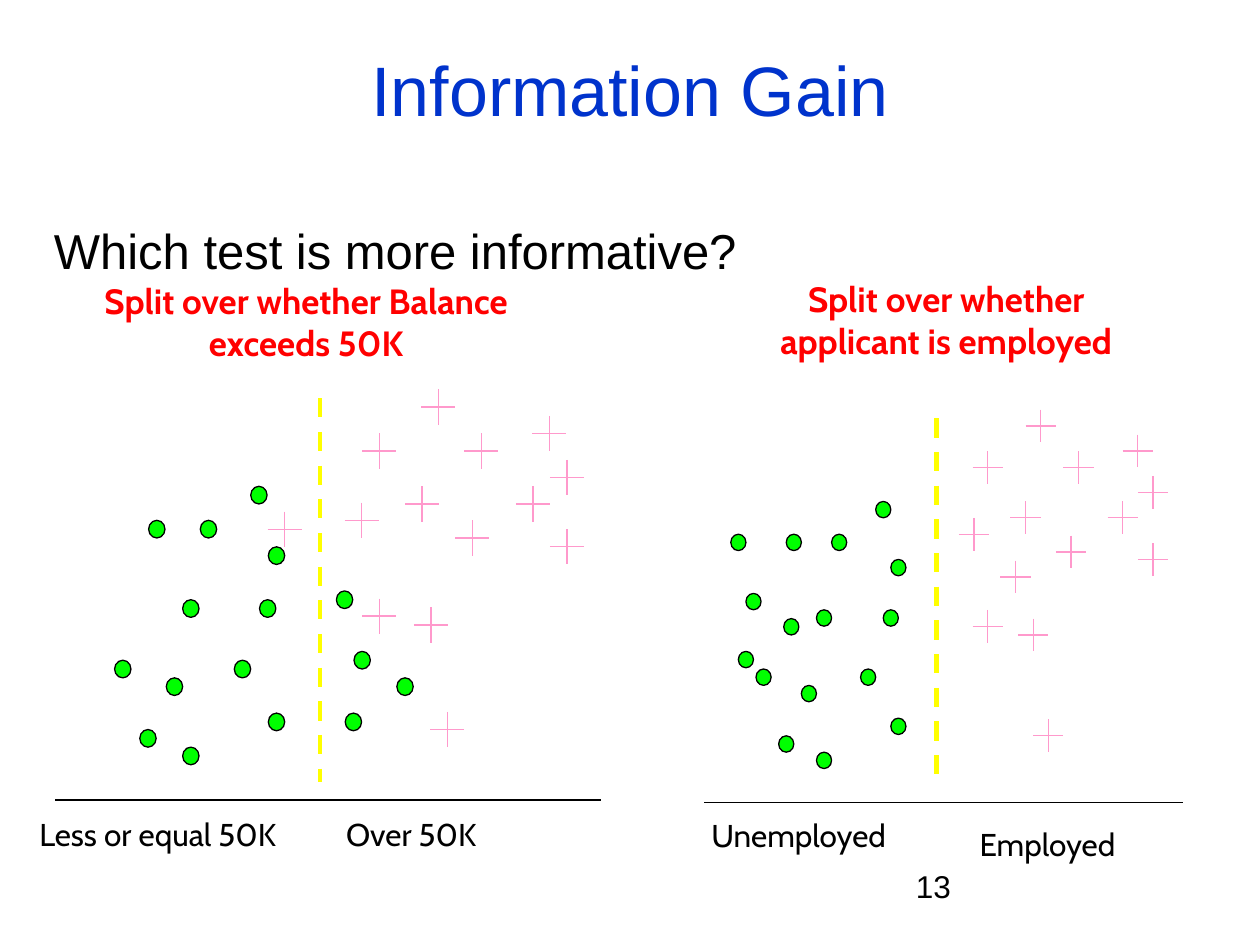
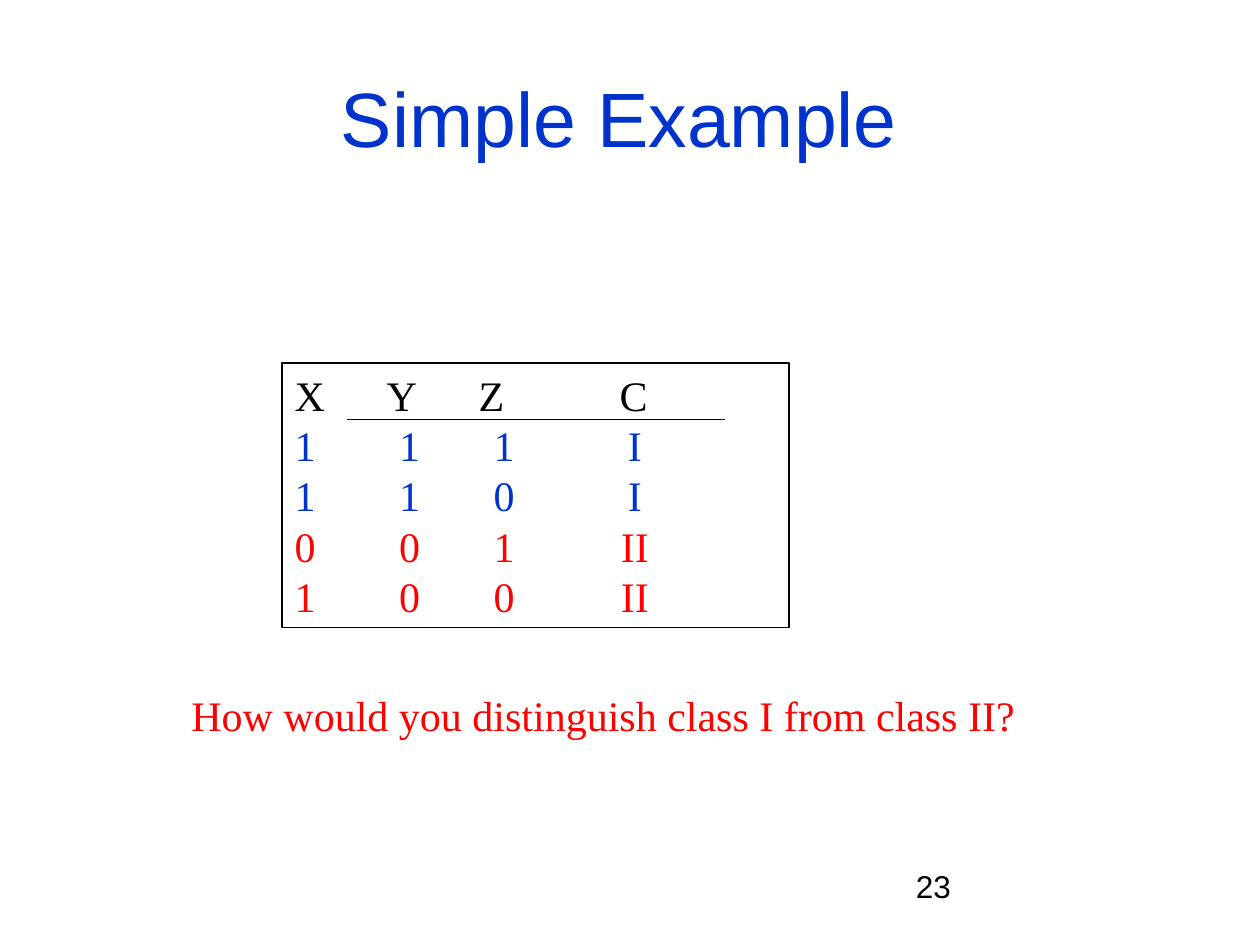
from lxml.etree import SubElement
from pptx import Presentation
from pptx.dml.color import RGBColor
from pptx.enum.dml import MSO_LINE
from pptx.enum.shapes import MSO_CONNECTOR, MSO_SHAPE
from pptx.enum.text import MSO_ANCHOR, PP_ALIGN
from pptx.oxml.ns import qn
from pptx.util import Inches, Pt

BLUE = RGBColor(0x00, 0x33, 0xCC)
RED = RGBColor(0xFF, 0x00, 0x00)
BLACK = RGBColor(0x00, 0x00, 0x00)
GREEN = RGBColor(0x00, 0xFF, 0x00)
PINK = RGBColor(0xFF, 0x99, 0xCC)
YELLOW = RGBColor(0xFF, 0xFF, 0x00)

SANS, SERIF, LABEL = "Arial", "Times New Roman", "Cabin"

# Each scatter panel: boxes are (left, top, width, height), lines (x1, y1, x2, y2),
# crosses are centres and dots are top left corners.
PANELS = [
    {
        "heading": ("Split over whether Balance exceeds 50K", (0.67, 2.17, 3.52, 0.77)),
        "labels": [("Less or equal 50K", (0.04, 6.42, 2.25, 0.4)),
                   ("Over 50K", (2.61, 6.42, 1.27, 0.4))],
        "axis": (0.44, 6.35, 4.77, 6.35),
        "split": (2.54, 3.16, 2.54, 6.21),
        "cross_size": (0.27, 0.28),
        "crosses": [(4.36, 3.44), (4.23, 4), (3.35, 4), (3.82, 3.58), (4.5, 3.79),
                    (4.5, 4.34), (3.01, 3.58), (3.75, 4.27), (3.48, 3.23), (2.26, 4.2),
                    (3.01, 4.89), (2.87, 4.13), (3.42, 4.96), (3.55, 5.79)],
        "dot_size": (0.13, 0.14),
        "dots": [(1.86, 5.24), (2.13, 4.34), (2.13, 5.66), (2.06, 4.76), (1.59, 4.13),
                 (1.32, 5.38), (1.45, 5.93), (1.11, 5.79), (1.45, 4.76), (0.91, 5.24),
                 (2.67, 4.69), (2.81, 5.17), (1.18, 4.13), (1.99, 3.86), (3.15, 5.38),
                 (2.74, 5.66)],
    },
    {
        "heading": ("Split over whether applicant is employed", (5.75, 2.15, 3.52, 0.77)),
        "labels": [("Unemployed", (5.43, 6.43, 1.7, 0.4)),
                   ("Employed", (7.59, 6.5, 1.36, 0.4))],
        "axis": (5.59, 6.37, 9.39, 6.37),
        "split": (7.43, 3.32, 7.43, 6.23),
        "cross_size": (0.24, 0.26),
        "crosses": [(9.03, 3.58), (8.91, 4.11), (8.14, 4.11), (8.56, 3.71), (9.15, 3.91),
                    (9.15, 4.44), (7.84, 3.71), (8.5, 4.38), (8.26, 3.38), (8.06, 4.58),
                    (7.84, 4.97), (7.73, 4.24), (8.2, 5.04), (8.32, 5.84)],
        "dot_size": (0.12, 0.13),
        "dots": [(6.83, 5.31), (7.07, 4.44), (7.07, 5.7), (7.01, 4.84), (6.6, 4.24),
                 (6.36, 5.44), (6.48, 5.97), (6.18, 5.84), (6.48, 4.84), (6, 5.31),
                 (5.8, 4.24), (5.92, 4.71), (6.24, 4.24), (6.95, 3.98), (6.22, 4.91),
                 (5.86, 5.17)],
    },
]

SAMPLES = [
    ("X", "Y", "Z", "C"),
    ("1", "1", "1", "I"),
    ("1", "1", "0", "I"),
    ("0", "0", "1", "II"),
    ("1", "0", "0", "II"),
]
SAMPLE_COLORS = [BLACK, BLUE, BLUE, RED, RED]
HEADER_TABS = [(0.73, "l"), (1.46, "l"), (2.69, "ctr")]
VALUE_TABS = [(0.83, "l"), (1.58, "l"), (2.7, "ctr")]


def add_text(page, text, place, size, font, color, align=PP_ALIGN.LEFT, bold=False,
             anchor=MSO_ANCHOR.TOP, spacing=None):
    box = page.shapes.add_textbox(*map(Inches, place))
    frame = box.text_frame
    frame.word_wrap = True
    frame.vertical_anchor = anchor
    frame.text = text
    for para in frame.paragraphs:
        para.alignment = align
        para.line_spacing = spacing
        for span in para.runs:
            span.font.size = Pt(size)
            span.font.name = font
            span.font.bold = bold
            span.font.color.rgb = color
    return box


def add_line(page, ends, color, width=0.75):
    line = page.shapes.add_connector(MSO_CONNECTOR.STRAIGHT, *map(Inches, ends))
    line.line.color.rgb = color
    line.line.width = Pt(width)
    SubElement(line._element.spPr, qn("a:effectLst"))
    return line


def add_page(deck, title, title_place, title_size, number):
    """Add a blank slide with its title and page number."""
    page = deck.slides.add_slide(deck.slide_layouts[6])
    add_text(page, title, title_place, title_size, SANS, BLUE, PP_ALIGN.CENTER,
             anchor=MSO_ANCHOR.MIDDLE)
    add_text(page, number, (7.17, 6.83, 2.33, 0.52), 18, SANS, BLACK)
    return page


def add_cross(page, x, y, width, height):
    add_line(page, (x - width / 2, y, x + width / 2, y), PINK)
    add_line(page, (x, y - height / 2, x, y + height / 2), PINK)


def add_dot(page, place):
    dot = page.shapes.add_shape(MSO_SHAPE.OVAL, *map(Inches, place))
    dot.shadow.inherit = False
    dot.fill.solid()
    dot.fill.fore_color.rgb = GREEN
    dot.line.color.rgb = BLACK
    dot.line.width = Pt(0.75)


def add_panel(page, panel):
    heading, place = panel["heading"]
    add_text(page, heading, place, 20, LABEL, RED, PP_ALIGN.CENTER, bold=True)
    add_line(page, panel["axis"], BLACK)
    for x, y in panel["crosses"]:
        add_cross(page, x, y, *panel["cross_size"])
    for corner in panel["dots"]:
        add_dot(page, corner + panel["dot_size"])
    split = add_line(page, panel["split"], YELLOW, 2.75)
    split.line.dash_style = MSO_LINE.DASH
    for label, place in panel["labels"]:
        add_text(page, label, place, 18, LABEL, BLACK, PP_ALIGN.RIGHT)


def set_tabs(para, tabs):
    tab_list = SubElement(para._p.get_or_add_pPr(), qn("a:tabLst"))
    for position, align in tabs:
        SubElement(tab_list, qn("a:tab"), pos=str(Inches(position)), algn=align)


def add_samples(page):
    text = "\n".join("\t".join(row) for row in SAMPLES)
    box = add_text(page, text, (2.24, 2.88, 4.02, 2.1), 24, SERIF, BLACK, spacing=Pt(28.8))
    box.line.color.rgb = BLACK
    box.line.width = Pt(1)
    for index, para in enumerate(box.text_frame.paragraphs):
        set_tabs(para, VALUE_TABS if index else HEADER_TABS)
        for span in para.runs:
            span.font.color.rgb = SAMPLE_COLORS[index]
    add_line(page, (2.75, 3.33, 5.75, 3.33), BLACK, 1)


def main():
    deck = Presentation()
    deck.slide_width, deck.slide_height = Inches(10), Inches(7.5)

    page = add_page(deck, "Information Gain", (0.5, 0.33, 9, 0.75), 40, "13")
    add_text(page, "Which test is more informative?", (0.33, 1.7, 9, 0.6), 28, SANS, BLACK)
    for panel in PANELS:
        add_panel(page, panel)

    page = add_page(deck, "Simple Example ", (0.5, 0.3, 9, 1.25), 44, "23")
    add_samples(page)
    add_text(page, "How would you distinguish class I from class II?",
             (1.42, 5.42, 7, 0.5), 24, SERIF, RED, spacing=Pt(28.8))

    deck.save("out.pptx")


if __name__ == "__main__":
    main()
